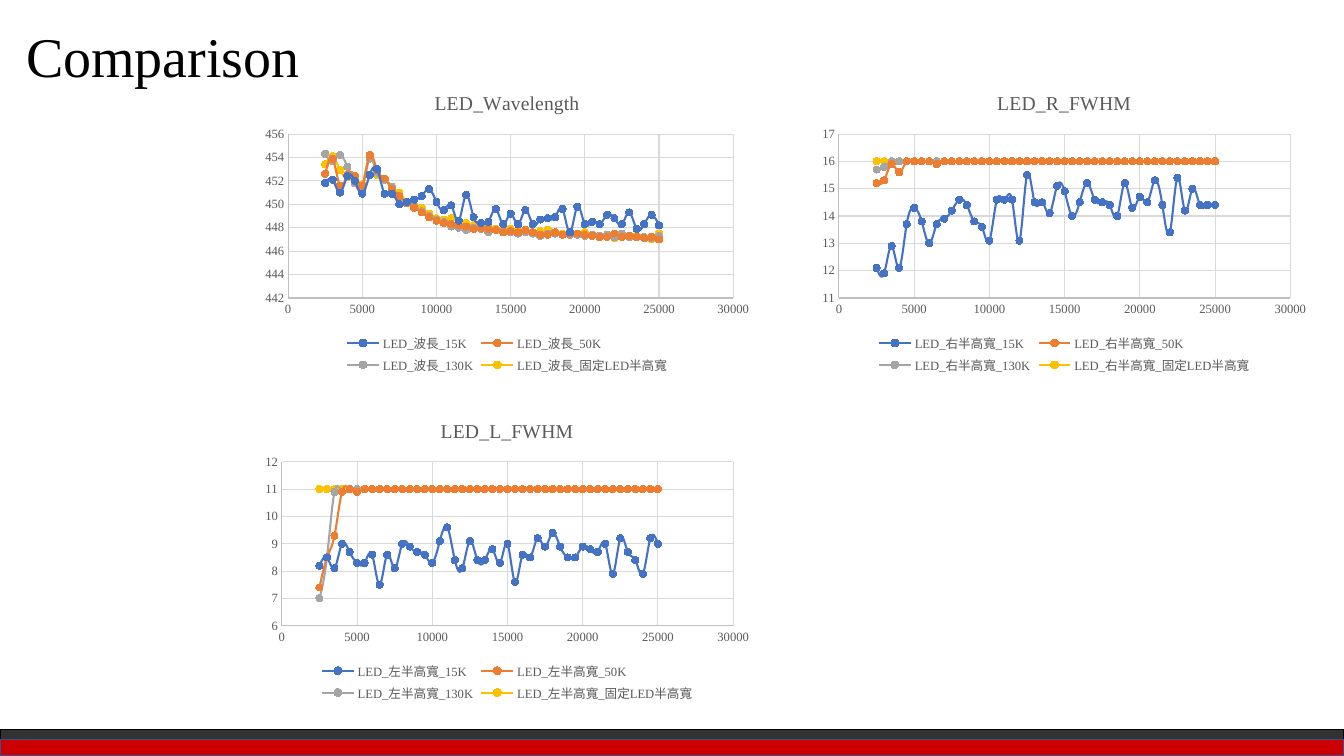
from dataclasses import dataclass

from lxml.etree import _Element
from pptx import Presentation
from pptx.chart.axis import ValueAxis
from pptx.chart.data import XyChartData
from pptx.dml.color import RGBColor
from pptx.enum.chart import (XL_CHART_TYPE, XL_LEGEND_POSITION,
                             XL_MARKER_STYLE, XL_TICK_MARK)
from pptx.enum.shapes import MSO_SHAPE
from pptx.enum.text import MSO_AUTO_SIZE
from pptx.slide import Slide
from pptx.text.text import Font
from pptx.util import Cm, Pt

FONT_NAME = "Times New Roman"
BLACK = RGBColor(0x00, 0x00, 0x00)
CHARCOAL = RGBColor(0x33, 0x33, 0x33)
RED = RGBColor(0xCC, 0x00, 0x00)
NAVY = RGBColor(0x32, 0x54, 0x91)
LABEL_GRAY = RGBColor(0x59, 0x59, 0x59)
AXIS_GRAY = RGBColor(0xBF, 0xBF, 0xBF)
GRID_GRAY = RGBColor(0xD9, 0xD9, 0xD9)
SERIES_COLORS = (RGBColor(0x44, 0x72, 0xC4), RGBColor(0xED, 0x7D, 0x31),
                 RGBColor(0xA5, 0xA5, 0xA5), RGBColor(0xFF, 0xC0, 0x00))

SLIDE_WIDTH, SLIDE_HEIGHT = 33.87, 19.05
CHART_WIDTH, CHART_HEIGHT = 12.7, 7.62
LEFT_COLUMN, RIGHT_COLUMN = 6.43, 20.47
TOP_ROW, BOTTOM_ROW = 1.9, 10.16

EXPOSURES = range(2500, 25001, 500)
CONDITIONS = ("15K", "50K", "130K", "固定LED半高寬")


@dataclass
class Band:
    top: float
    fill: RGBColor
    outline: RGBColor


@dataclass
class Comparison:
    title: str
    quantity: str
    left: float
    top: float
    low: float
    high: float
    readings: tuple[list[float], ...]


def settle(start: list[float], level: float) -> list[float]:
    """Extend the first readings with a constant level to the last exposure."""
    return start + [level] * (len(EXPOSURES) - len(start))


BANDS = (Band(18.39, CHARCOAL, BLACK), Band(18.64, RED, NAVY))

WAVELENGTHS = (
    [451.8, 452.1, 451, 452.4, 452, 450.9, 452.5, 453, 450.9, 450.9,
     450, 450.2, 450.4, 450.7, 451.3, 450.2, 449.5, 449.9, 448.6, 450.8,
     448.9, 448.4, 448.5, 449.6, 448.3, 449.2, 448.3, 449.5, 448.3, 448.7,
     448.8, 448.9, 449.6, 447.6, 449.8, 448.3, 448.5, 448.3, 449.1, 448.8,
     448.3, 449.3, 447.9, 448.3, 449.1, 448.2],
    [452.6, 453.9, 451.6, 452.5, 452.4, 451.6, 454.2, 452.9, 452.2, 451.3,
     450.7, 450.1, 449.7, 449.3, 448.9, 448.6, 448.4, 448.3, 448.2, 448.1,
     447.9, 448, 447.9, 447.8, 447.6, 447.7, 447.6, 447.8, 447.6, 447.4,
     447.4, 447.6, 447.4, 447.5, 447.5, 447.4, 447.3, 447.2, 447.2, 447.5,
     447.2, 447.3, 447.2, 447.1, 447.2, 447],
    [454.3, 453.7, 454.2, 453.2, 451.8, 451.4, 453.9, 452.7, 452.1, 451.5,
     450.6, 450.1, 449.8, 449.4, 449, 448.7, 448.5, 448.1, 448, 447.8,
     448, 447.9, 447.6, 447.8, 447.7, 447.6, 447.5, 447.6, 447.5, 447.3,
     447.5, 447.5, 447.4, 447.4, 447.4, 447.3, 447.4, 447.3, 447.4, 447.2,
     447.5, 447.2, 447.2, 447.2, 447.1, 447.3],
    [453.4, 454.1, 452.9, 452.3, 452.2, 451.7, 454, 452.5, 452.1, 451.4,
     451, 450.2, 449.9, 449.7, 449.2, 448.8, 448.7, 448.8, 448.5, 448.4,
     448.2, 448.1, 448, 447.9, 447.8, 447.9, 447.8, 447.8, 447.6, 447.7,
     447.8, 447.5, 447.5, 447.6, 447.5, 447.6, 447.4, 447.3, 447.4, 447.1,
     447.3, 447.2, 447.3, 447.2, 447, 447.5],
)
LEFT_WIDTHS = (
    [8.2, 8.5, 8.1, 9, 8.7, 8.3, 8.3, 8.6, 7.5, 8.6, 8.1, 9, 8.9, 8.7, 8.6,
     8.3, 9.1, 9.6, 8.4, 8.1, 9.1, 8.4, 8.4, 8.8, 8.3, 9, 7.6, 8.6, 8.5, 9.2,
     8.9, 9.4, 8.9, 8.5, 8.5, 8.9, 8.8, 8.7, 9, 7.9, 9.2, 8.7, 8.4, 7.9, 9.2,
     9],
    settle([7.4, 8.5, 9.3, 10.9, 11, 10.9], 11),
    settle([7, 8.5, 10.9, 10.9], 11),
    settle([], 11),
)
RIGHT_WIDTHS = (
    [12.1, 11.9, 12.9, 12.1, 13.7, 14.3, 13.8, 13, 13.7, 13.9, 14.2, 14.6,
     14.4, 13.8, 13.6, 13.1, 14.6, 14.6, 14.6, 13.1, 15.5, 14.5, 14.5, 14.1,
     15.1, 14.9, 14, 14.5, 15.2, 14.6, 14.5, 14.4, 14, 15.2, 14.3, 14.7,
     14.5, 15.3, 14.4, 13.4, 15.4, 14.2, 15, 14.4, 14.4, 14.4],
    settle([15.2, 15.3, 15.9, 15.6, 16, 16, 16, 16, 15.9], 16),
    settle([15.7, 15.8], 16),
    settle([], 16),
)
COMPARISONS = (
    Comparison("LED_Wavelength", "波長", LEFT_COLUMN, TOP_ROW,
               442, 456, WAVELENGTHS),
    Comparison("LED_L_FWHM", "左半高寬", LEFT_COLUMN, BOTTOM_ROW,
               6, 12, LEFT_WIDTHS),
    Comparison("LED_R_FWHM", "右半高寬", RIGHT_COLUMN, TOP_ROW,
               11, 17, RIGHT_WIDTHS),
)


def style_font(font: Font, size: float, color: RGBColor) -> None:
    font.name = FONT_NAME
    font.size = Pt(size)
    font.bold = False
    font.color.rgb = color


def style_axis(axis: ValueAxis, low: float, high: float, step: float) -> None:
    axis.minimum_scale, axis.maximum_scale = low, high
    axis.major_unit = step
    axis.major_tick_mark = axis.minor_tick_mark = XL_TICK_MARK.NONE
    axis.has_major_gridlines = True
    for line, color in ((axis.format.line, AXIS_GRAY),
                        (axis.major_gridlines.format.line, GRID_GRAY)):
        line.color.rgb = color
        line.width = Pt(0.75)
    axis.tick_labels.number_format = "General"
    axis.tick_labels.number_format_is_linked = False
    style_font(axis.tick_labels.font, 9, LABEL_GRAY)


def draw_comparison(slide: Slide, comparison: Comparison) -> None:
    data = XyChartData()
    for condition, readings in zip(CONDITIONS, comparison.readings):
        series = data.add_series(f"LED_{comparison.quantity}_{condition}")
        for exposure, reading in zip(EXPOSURES, readings):
            series.add_data_point(exposure, reading)
    chart = slide.shapes.add_chart(
        XL_CHART_TYPE.XY_SCATTER_SMOOTH, Cm(comparison.left),
        Cm(comparison.top), Cm(CHART_WIDTH), Cm(CHART_HEIGHT), data).chart
    style_font(chart.font, 10, BLACK)

    chart.has_title = True
    heading = chart.chart_title.text_frame
    heading.text = comparison.title
    style_font(heading.paragraphs[0].runs[0].font, 14, LABEL_GRAY)

    chart.has_legend = True
    chart.legend.position = XL_LEGEND_POSITION.BOTTOM
    chart.legend.include_in_layout = False
    style_font(chart.legend.font, 9, LABEL_GRAY)

    style_axis(chart.category_axis, 0, 30000, 5000)
    value_step = 2 if comparison.high - comparison.low > 10 else 1
    style_axis(chart.value_axis, comparison.low, comparison.high, value_step)

    chart.plots[0].vary_by_categories = False
    for series, color in zip(chart.plots[0].series, SERIES_COLORS):
        smooth_flags: list[_Element] = series._element.xpath("c:smooth")
        for flag in smooth_flags:
            flag.set("val", "1")
        series.format.line.color.rgb = color
        series.format.line.width = Pt(1.5)
        series.marker.style = XL_MARKER_STYLE.CIRCLE
        series.marker.size = 5
        series.marker.format.fill.solid()
        series.marker.format.fill.fore_color.rgb = color
        series.marker.format.line.color.rgb = color


def draw_band(slide: Slide, band: Band) -> None:
    """Draw a footer band reaching down to the slide's lower edge."""
    strip = slide.shapes.add_shape(
        MSO_SHAPE.RECTANGLE, 0, Cm(band.top), Cm(SLIDE_WIDTH),
        Cm(SLIDE_HEIGHT - band.top))
    strip.shadow.inherit = False
    strip.fill.solid()
    strip.fill.fore_color.rgb = band.fill
    strip.line.color.rgb = band.outline
    strip.line.width = Pt(1)


def draw_title(slide: Slide, title: str) -> None:
    frame = slide.shapes.add_textbox(
        Cm(0.41), Cm(0.41), Cm(8.23), Cm(1.96)).text_frame
    frame.word_wrap = True
    frame.auto_size = MSO_AUTO_SIZE.SHAPE_TO_FIT_TEXT
    frame.text = title
    style_font(frame.paragraphs[0].runs[0].font, 40, BLACK)


def main() -> None:
    presentation = Presentation()
    presentation.slide_width = Cm(SLIDE_WIDTH)
    presentation.slide_height = Cm(SLIDE_HEIGHT)
    slide = presentation.slides.add_slide(presentation.slide_layouts[6])
    for band in BANDS:
        draw_band(slide, band)
    for comparison in COMPARISONS:
        draw_comparison(slide, comparison)
    draw_title(slide, "Comparison")
    presentation.save("out.pptx")


if __name__ == "__main__":
    main()
